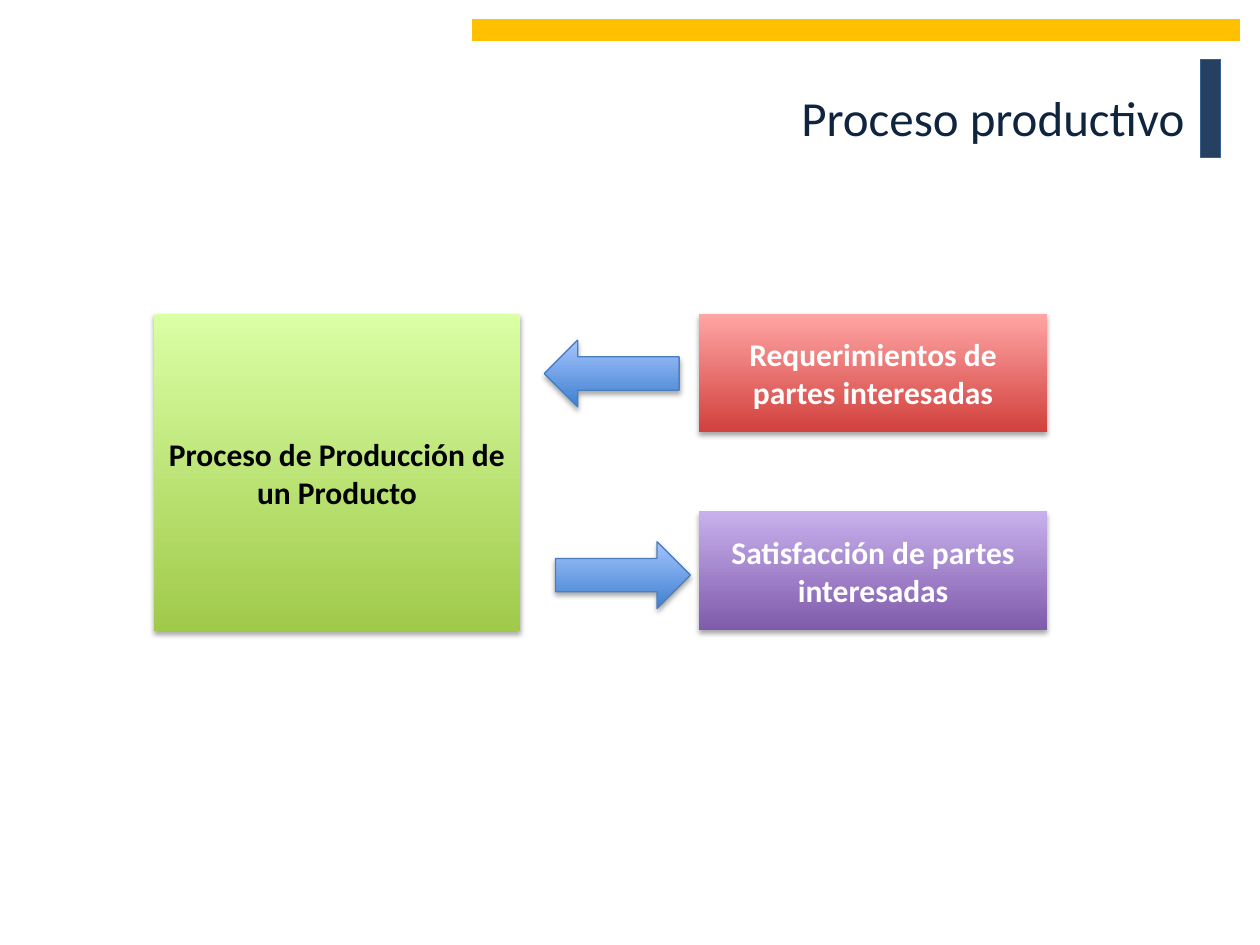
from dataclasses import dataclass

from lxml import etree
from pptx import Presentation
from pptx import util as u
from pptx.dml.color import RGBColor
from pptx.enum import shapes, text
from pptx.oxml.ns import qn


@dataclass(frozen=True)
class Theme:
    font: str = "Calibri"
    title_size: int = 28
    box_size: int = 18
    line_width: float = 0.75
    title: str = "0F243E"
    black: str = "000000"
    white: str = "FFFFFF"
    navy: str = "254061"
    navy_line: str = "376092"
    amber: str = "FFC000"
    arrow_line: str = "4B7EBC"
    green: tuple = ("A0CA4A", "DAFFA5")
    red: tuple = ("D1403C", "FFA6A5")
    purple: tuple = ("7F5BAB", "C8B0ED")
    blue: tuple = ("3F80CE", "A4C4FF")


THEME = Theme()
RECTANGLE = shapes.MSO_SHAPE.RECTANGLE


def color(value):
    return RGBColor.from_string(value)


def place(shape, box):
    shape.left, shape.top, shape.width, shape.height = map(u.Inches, box)


def write(frame, content, size, hue, alignment, bold=False):
    frame.word_wrap = True
    frame.vertical_anchor = text.MSO_ANCHOR.MIDDLE
    paragraph = frame.paragraphs[0]
    paragraph.alignment = alignment
    run = paragraph.add_run()
    run.text = content
    run.font.name = THEME.font
    run.font.size = u.Pt(size)
    run.font.bold = bold
    run.font.color.rgb = color(hue)


def add_shape(slide, kind, box, line=None):
    shape = slide.shapes.add_shape(kind, *map(u.Inches, box))
    shape.shadow.inherit = False
    if line:
        shape.line.color.rgb = color(line)
        shape.line.width = u.Pt(THEME.line_width)
    else:
        shape.line.fill.background()
    return shape


def add_bar(slide, box, fill, line):
    shape = add_shape(slide, RECTANGLE, box, line)
    shape.fill.solid()
    shape.fill.fore_color.rgb = color(fill)


def add_shadow(shape):
    effects = shape._element.spPr.find(qn("a:effectLst"))
    shadow = etree.SubElement(
        effects, qn("a:outerShdw"), blurRad=str(u.Pt(3.1)), dist=str(u.Pt(1.8)),
        dir="5400000", rotWithShape="0")
    black = etree.SubElement(shadow, qn("a:srgbClr"), val=THEME.black)
    etree.SubElement(black, qn("a:alpha"), val="35000")


def add_gradient_shape(slide, kind, box, gradient, line=None):
    shape = add_shape(slide, kind, box, line)
    shape.fill.gradient()
    shape.fill.gradient_angle = 90
    for position, (stop, hue) in enumerate(zip(shape.fill.gradient_stops, gradient)):
        stop.position = position
        stop.color.rgb = color(hue)
    add_shadow(shape)
    return shape


def add_box(slide, box, gradient, content, hue):
    shape = add_gradient_shape(slide, RECTANGLE, box, gradient)
    write(shape.text_frame, content, THEME.box_size, hue, text.PP_ALIGN.CENTER, True)


def add_title(slide, content):
    title = slide.shapes.title
    place(title, (0.5, 0.3, 9, 1.25))
    write(title.text_frame, content, THEME.title_size, THEME.title, text.PP_ALIGN.RIGHT)


def main():
    presentation = Presentation()
    presentation.slide_width = u.Inches(10)
    presentation.slide_height = u.Inches(7.5)
    slide = presentation.slides.add_slide(presentation.slide_layouts[5])

    add_bar(slide, (9.53, 0.47, 0.16, 0.78), THEME.navy, THEME.navy_line)
    add_bar(slide, (3.75, 0.16, 6.09, 0.16), THEME.amber, THEME.amber)
    add_title(slide, "Proceso productivo")

    add_box(slide, (1.22, 2.49, 2.91, 2.52), THEME.green,
            "Proceso de Producción de un Producto", THEME.black)
    for top, gradient, content in (
        (2.49, THEME.red, "Requerimientos de partes interesadas"),
        (4.06, THEME.purple, "Satisfacción de partes interesadas"),
    ):
        add_box(slide, (5.55, top, 2.76, 0.94), gradient, content, THEME.white)

    for kind, left, top in (
        (shapes.MSO_SHAPE.LEFT_ARROW, 4.32, 2.7),
        (shapes.MSO_SHAPE.RIGHT_ARROW, 4.41, 4.3),
    ):
        add_gradient_shape(slide, kind, (left, top, 1.07, 0.53), THEME.blue, THEME.arrow_line)

    presentation.save("out.pptx")


main()
